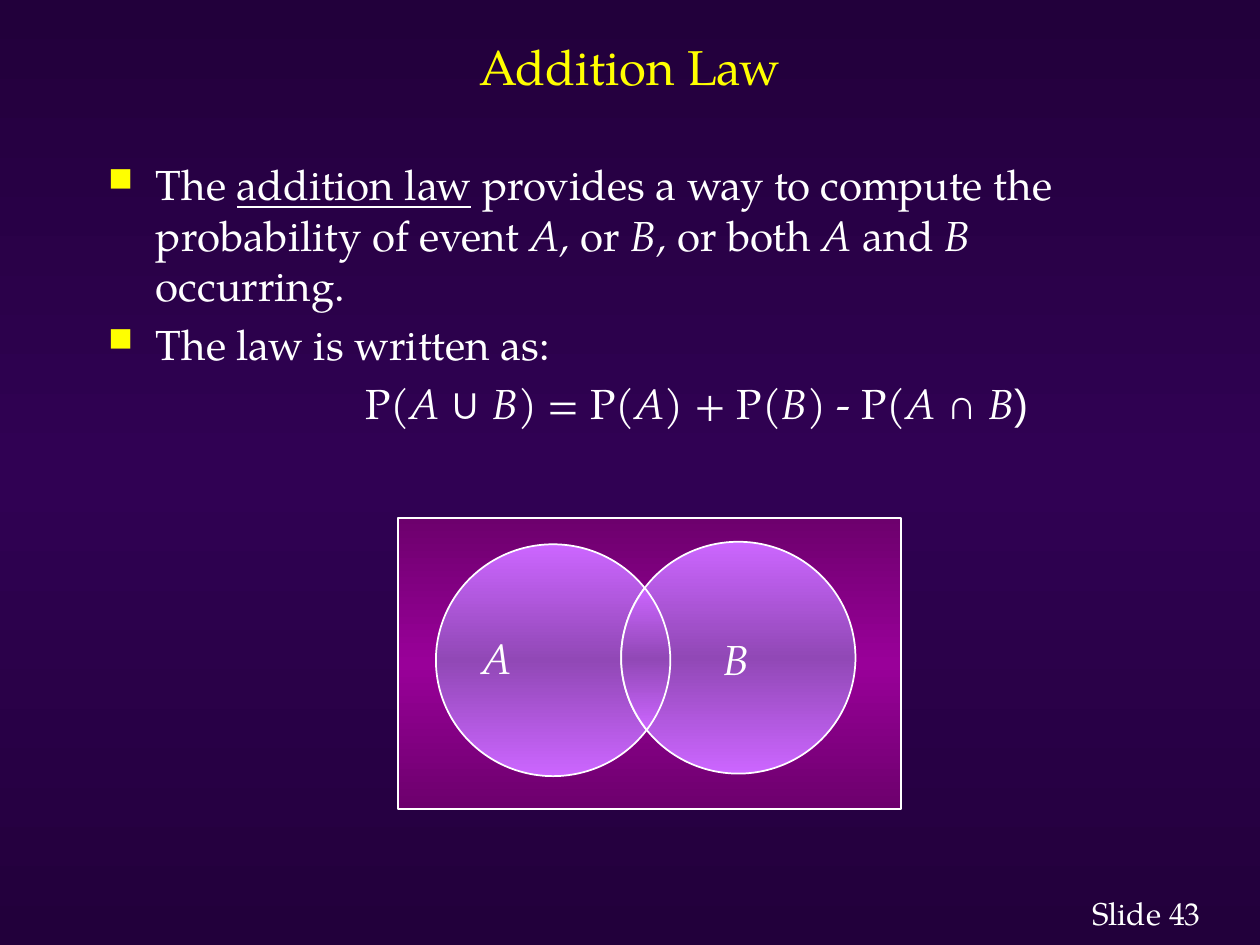
import math

import lxml.etree
import pptx
import pptx.dml.color
import pptx.enum.shapes
import pptx.enum.text
import pptx.oxml.ns
import pptx.util

Inches = pptx.util.Inches
Pt = pptx.util.Pt
qn = pptx.oxml.ns.qn
FONT = "TeX Gyre Pagella"
WHITE, YELLOW = "FFFFFF", "FFFF00"
ARC = 37


def rgb(value):
    return pptx.dml.color.RGBColor.from_string(value)


def sub(parent, tag, **attrs):
    return lxml.etree.SubElement(parent, qn(tag), attrs)


def fill_gradient(fill, element, color, dark_stops):
    fill.gradient()
    fill.gradient_angle = 270
    stops = element.find(".//" + qn("a:gsLst"))
    for stop in list(stops):
        stops.remove(stop)
    for pos in (0, 50, 100):
        clr = sub(sub(stops, "a:gs", pos=str(pos * 1000)), "a:srgbClr", val=color)
        if pos in dark_stops:
            sub(clr, "a:shade", val="46275")


def style_shape(sp, color, dark_stops):
    sp.shadow.inherit = False
    fill_gradient(sp.fill, sp._element, color, dark_stops)
    sp.line.color.rgb = rgb(WHITE)
    sp.line.width = Pt(1)


def add_run(p, text, size, color=WHITE, font=FONT, italic=False, underline=False):
    r = p.add_run()
    r.text = text
    r.font.name = font
    r.font.size = Pt(size)
    r.font.color.rgb = rgb(color)
    r.font.italic = italic
    r.font.underline = underline


def add_box(shapes, left, top, width, height):
    sp = shapes.add_textbox(Inches(left), Inches(top), Inches(width), Inches(height))
    sp.text_frame.word_wrap = True
    return sp.text_frame


def add_label(shapes, box, text, size, **style):
    tf = add_box(shapes, *box)
    add_run(tf.paragraphs[0], text, size, **style)
    return tf


def add_paragraph(p, runs, left, hanging=0, bullet=False):
    p.space_before = Pt(5)
    pPr = p._p.get_or_add_pPr()
    pPr.set("marL", str(Inches(left)))
    pPr.set("indent", str(-Inches(hanging)))
    if bullet:
        sub(sub(pPr, "a:buClr"), "a:srgbClr", val=YELLOW)
        sub(pPr, "a:buSzPct", val="80000")
        sub(pPr, "a:buChar", char="■")
    for text, style in runs:
        add_run(p, text, 24, **style)


def add_circle(shapes, cx, cy, rx, ry):
    sp = shapes.add_shape(pptx.enum.shapes.MSO_SHAPE.OVAL, Inches(cx - rx),
                          Inches(cy - ry), Inches(2 * rx), Inches(2 * ry))
    style_shape(sp, "CC66FF", (50,))


def arc_points(circle, start, end, steps=24):
    cx, cy, rx, ry = circle
    for i in range(steps + 1):
        angle = math.radians(start + (end - start) * i / steps)
        yield Inches(cx + rx * math.cos(angle)), Inches(cy + ry * math.sin(angle))


def add_overlap(shapes, left_circle, right_circle):
    points = [*arc_points(right_circle, 180 + ARC, 180 - ARC),
              *arc_points(left_circle, ARC, -ARC)]
    builder = shapes.build_freeform(*points[0])
    builder.add_line_segments(points[1:], close=True)
    style_shape(builder.convert_to_shape(), "CC66FF", (50,))


def add_venn(slide):
    shapes = slide.shapes.add_group_shape().shapes
    sp = shapes.add_shape(pptx.enum.shapes.MSO_SHAPE.RECTANGLE, Inches(3.16),
                          Inches(4.11), Inches(3.99), Inches(2.31))
    style_shape(sp, "990099", (0, 100))
    circle_a = (4.39, 5.24, 0.93, 0.92)
    circle_b = (5.86, 5.22, 0.93, 0.92)
    for circle in (circle_a, circle_b):
        add_circle(shapes, *circle)
    add_label(shapes, (3.72, 4.97, 0.6, 0.5), "A", 24, italic=True)
    add_label(shapes, (5.64, 4.98, 0.6, 0.5), "B", 24, italic=True)
    add_overlap(shapes, circle_a, circle_b)


def add_body(slide):
    plain, italic, arial = {}, {"italic": True}, {"font": "Arial"}
    definition = [
        ("The ", plain), ("addition law", {"underline": True}),
        (" provides a way to compute the probability of event ", plain),
        ("A,", italic), (" or ", plain), ("B,", italic), (" or both ", plain),
        ("A", italic), (" and ", plain), ("B ", italic), ("occurring.", plain),
    ]
    formula = [
        ("P(", plain), ("A ", italic), ("∪ ", arial), ("B", italic),
        (") = P(", plain), ("A", italic), (") + P(", plain), ("B", italic),
        (") - P(", plain), ("A ", italic), ("∩ ", arial), ("B", italic), (")", arial),
    ]
    tf = add_box(slide.shapes, 0.76, 1.21, 8.4, 2.6)
    add_paragraph(tf.paragraphs[0], definition, 0.38, 0.38, bullet=True)
    add_paragraph(tf.add_paragraph(), [("The law is written as:", plain)],
                  0.38, 0.38, bullet=True)
    add_paragraph(tf.add_paragraph(), formula, 2.04)


def main():
    prs = pptx.Presentation()
    prs.slide_width, prs.slide_height = Inches(10), Inches(7.5)
    slide = prs.slides.add_slide(prs.slide_layouts[6])
    fill_gradient(slide.background.fill, slide._element, "300153", (0, 100))
    add_label(slide.shapes, (8.57, 7.05, 1.2, 0.4), "Slide 43", 18)
    tf = add_label(slide.shapes, (0.75, 0.2, 8.5, 0.64), "Addition Law", 28, color=YELLOW)
    tf.vertical_anchor = pptx.enum.text.MSO_ANCHOR.MIDDLE
    tf.paragraphs[0].alignment = pptx.enum.text.PP_ALIGN.CENTER
    add_body(slide)
    add_venn(slide)
    prs.save("out.pptx")


if __name__ == "__main__":
    main()
